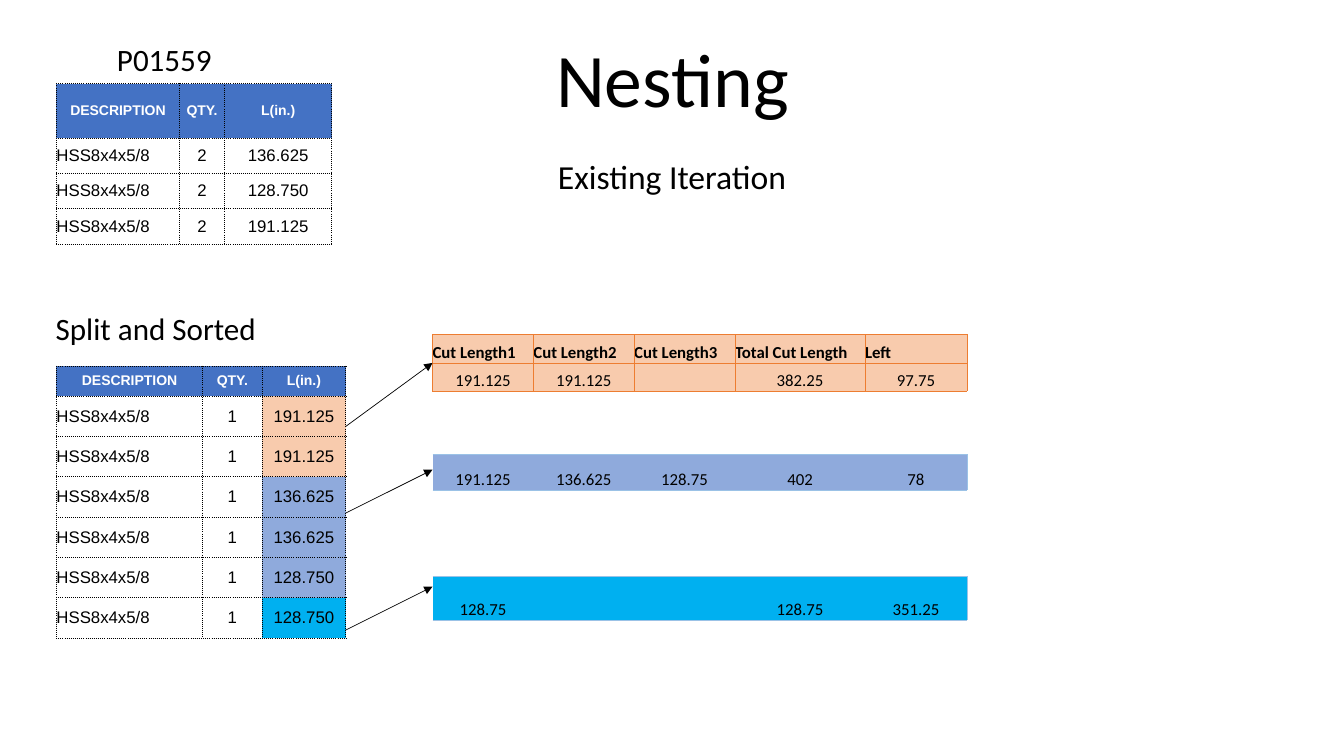
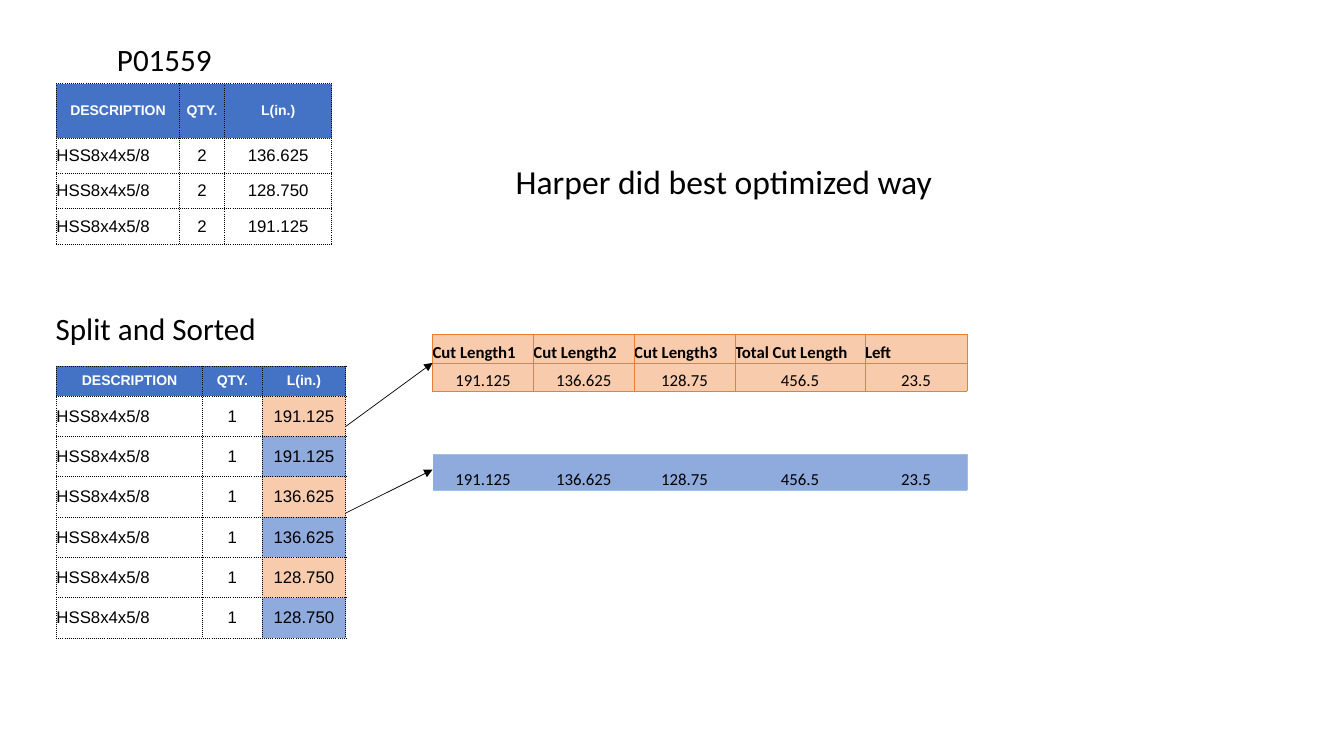
"""Build two slides comparing ways of nesting steel cut lengths."""
from dataclasses import dataclass

from pptx import Presentation
from pptx import util as u
from pptx.dml.color import RGBColor
from pptx.enum import shapes, text
from pptx.oxml import ns, xmlchemy


@dataclass(frozen=True)
class Theme:
    black: str = "000000"
    white: str = "FFFFFF"
    header: str = "4472C4"
    peach: str = "F8CBAD"
    blue: str = "8FAADC"
    cyan: str = "00B0F0"
    orange_line: str = "ED7D31"
    blue_line: str = "9BC2E6"
    sans: str = "Calibri"
    table_sans: str = "Arial"
    title: float = 54
    subtitle: float = 24
    label: float = 22.2
    cell: float = 12
    heading: float = 10
    line: float = 0.5


THEME = Theme()
GRID = u.Inches(0.01)
COLUMNS, ROWS = 1333, 750
PLAIN_TABLE = "{2D5ABB26-0587-4C30-8999-92F81FD0307C}"
ALIGN = {"l": text.PP_ALIGN.LEFT, "c": text.PP_ALIGN.CENTER}
MIDDLE, BOTTOM, TOP = (text.MSO_ANCHOR.MIDDLE, text.MSO_ANCHOR.BOTTOM,
                       text.MSO_ANCHOR.TOP)


def write(frame, words, size=THEME.cell, font=THEME.sans, color=THEME.black,
          bold=False, align="c", spacing=None, before=None):
    para = frame.paragraphs[0]
    para.alignment = ALIGN[align]
    para.line_spacing = spacing
    para.space_before = None if before is None else u.Pt(before)
    if not words:
        para._p.get_or_add_endParaRPr().set("sz", str(int(size * 100)))
        return
    span = para.add_run()
    span.text = words
    span.font.size, span.font.name, span.font.bold = u.Pt(size), font, bold
    span.font.color.rgb = RGBColor.from_string(color)


def draw_table(page, left, top, widths, rows, anchor, line, sides="LRTB", dash="solid"):
    height = sum(row[0] for row in rows)
    table = page.shapes.add_table(len(rows), len(widths), left * GRID, top * GRID,
                                  sum(widths) * GRID, height * GRID).table
    table.first_row = table.horz_banding = False
    table._tbl.tblPr.find(ns.qn("a:tableStyleId")).text = PLAIN_TABLE
    for column, width in zip(table.columns, widths):
        column.width = width * GRID
    for r, (height, words, fills, aligns, style) in enumerate(rows):
        table.rows[r].height = height * GRID
        for c, word in enumerate(words):
            cell = table.cell(r, c)
            cell.margin_left = cell.margin_right = cell.margin_top = cell.margin_bottom = 0
            cell.vertical_anchor = anchor
            write(cell.text_frame, word, align=aligns[c], **style)
            props = cell._tc.get_or_add_tcPr()
            for side in "LRTB":
                if side in sides or (side == "R" and c == len(words) - 1):
                    border = xmlchemy.OxmlElement(f"a:ln{side}")
                    border.set("w", str(u.Pt(THEME.line)))
                    paint = xmlchemy.OxmlElement("a:solidFill")
                    tone = xmlchemy.OxmlElement("a:srgbClr")
                    tone.set("val", line)
                    paint.append(tone)
                    pattern = xmlchemy.OxmlElement("a:prstDash")
                    pattern.set("val", dash)
                    border.extend([paint, pattern])
                    props.append(border)
            if fills[c]:
                cell.fill.solid()
                cell.fill.fore_color.rgb = RGBColor.from_string(fills[c])
            else:
                cell.fill.background()


PART = "HSS8x4x5/8"
PART_HEADINGS = ["DESCRIPTION", "QTY.", "L(in.)"]
CUT_HEADINGS = ["Cut Length1", "Cut Length2", "Cut Length3", "Total Cut Length", "Left"]
ORDERED = ["136.625", "128.750", "191.125"]
SORTED = [length for length in ("191.125", "136.625", "128.750") for _ in range(2)]
LABELS = [("Split and Sorted", 44, 312, 221), ("P01559 ", 89, 45, 155)]
LABEL_HEIGHT = 39
PART_LEFT, CUT_LEFT = 56, 429
ORDER_WIDTHS, SPLIT_WIDTHS = [122, 45, 106], [145, 59, 83]
CUT_WIDTHS = [100, 100, 100, 129, 101]
ARROWS = [(423, 360), (509, 466), (625, 582)]
BANDS = [(451, 35), (572, 43)]
HEADING = dict(size=THEME.heading, font=THEME.table_sans, color=THEME.white, bold=True)
BODY = dict(font=THEME.table_sans)
DOTTED = dict(anchor=MIDDLE, line=THEME.black, dash="dot")
P, B, C = THEME.peach, THEME.blue, THEME.cyan
BEST_CUT = ["191.125", "136.625", "128.75", "456.5", "23.5"]
SLIDES = [
    dict(title="Nesting", subtitle="Existing Iteration", place=(522, 154, 289, 52),
         marks=[P, P, B, B, B, C],
         cuts=[(P, ["191.125", "191.125", "", "382.25", "97.75"]),
               (B, ["191.125", "136.625", "128.75", "402", "78"]),
               (C, ["128.75", "", "", "128.75", "351.25"])]),
    dict(title=None, subtitle="Harper did best optimized way", place=(476, 159, 484, 73),
         marks=[P, B] * 3,
         cuts=[(P, BEST_CUT), (B, BEST_CUT)]),
]

deck = Presentation()
deck.slide_width, deck.slide_height = COLUMNS * GRID, ROWS * GRID

for content in SLIDES:
    page = deck.slides.add_slide(deck.slide_layouts[0])
    title, subtitle = page.placeholders
    headings = [(title, content["title"], (167, 37, 1000, 91), BOTTOM, THEME.title, None),
                (subtitle, content["subtitle"], content["place"], TOP, THEME.subtitle, 10)]
    for box, words, place, anchor, size, before in headings:
        if words is None:
            box._element.getparent().remove(box._element)
            continue
        box.left, box.top, box.width, box.height = (n * GRID for n in place)
        box.text_frame.auto_size = text.MSO_AUTO_SIZE.NONE
        box.text_frame.vertical_anchor = anchor
        write(box.text_frame, words, size=size, spacing=0.9, before=before)

    for words, left, top, width in LABELS:
        box = page.shapes.add_textbox(left * GRID, top * GRID,
                                      width * GRID, LABEL_HEIGHT * GRID)
        box.text_frame.word_wrap = True
        write(box.text_frame, words, size=THEME.label, spacing=0.7, before=10)

    blue_row = [THEME.header] * 3
    order = [(54, PART_HEADINGS, blue_row, "ccc", HEADING)]
    order += [(35, [PART, "2", length], [None] * 3, "lcc", BODY) for length in ORDERED]
    draw_table(page, PART_LEFT, 83, ORDER_WIDTHS, order, **DOTTED)

    split = [(30, PART_HEADINGS, blue_row, "ccc", HEADING)]
    split += [(40.33, [PART, "1", length], [None, None, mark], "lcc", BODY)
              for length, mark in zip(SORTED, content["marks"])]
    split = [(round(row[0]), *row[1:]) for row in split]
    draw_table(page, PART_LEFT, 363, SPLIT_WIDTHS, split, **DOTTED)

    (first_fill, first_cut), *other_cuts = content["cuts"]
    first = [(28, CUT_HEADINGS, [first_fill] * 5, "lllll", dict(bold=True)),
             (28, first_cut, [first_fill] * 5, "ccccc", {})]
    draw_table(page, CUT_LEFT, 332, CUT_WIDTHS, first, BOTTOM, THEME.orange_line)
    for (top, height), (fill, cut) in zip(BANDS, other_cuts):
        draw_table(page, CUT_LEFT, top, CUT_WIDTHS,
                   [(height, cut, [fill] * 5, "ccccc", {})],
                   BOTTOM, THEME.blue_line, sides="TB")

    for (start, end), _ in zip(ARROWS, content["cuts"]):
        arrow = page.shapes.add_connector(
            shapes.MSO_CONNECTOR.STRAIGHT, (PART_LEFT + sum(SPLIT_WIDTHS)) * GRID,
            start * GRID, CUT_LEFT * GRID, end * GRID)
        arrow.line.width = u.Pt(THEME.line)
        arrow.line.color.rgb = RGBColor.from_string(THEME.black)
        props = arrow._element.spPr
        tip = xmlchemy.OxmlElement("a:tailEnd")
        tip.set("type", "triangle")
        props.find(ns.qn("a:ln")).append(tip)
        props.append(xmlchemy.OxmlElement("a:effectLst"))

deck.save("out.pptx")
